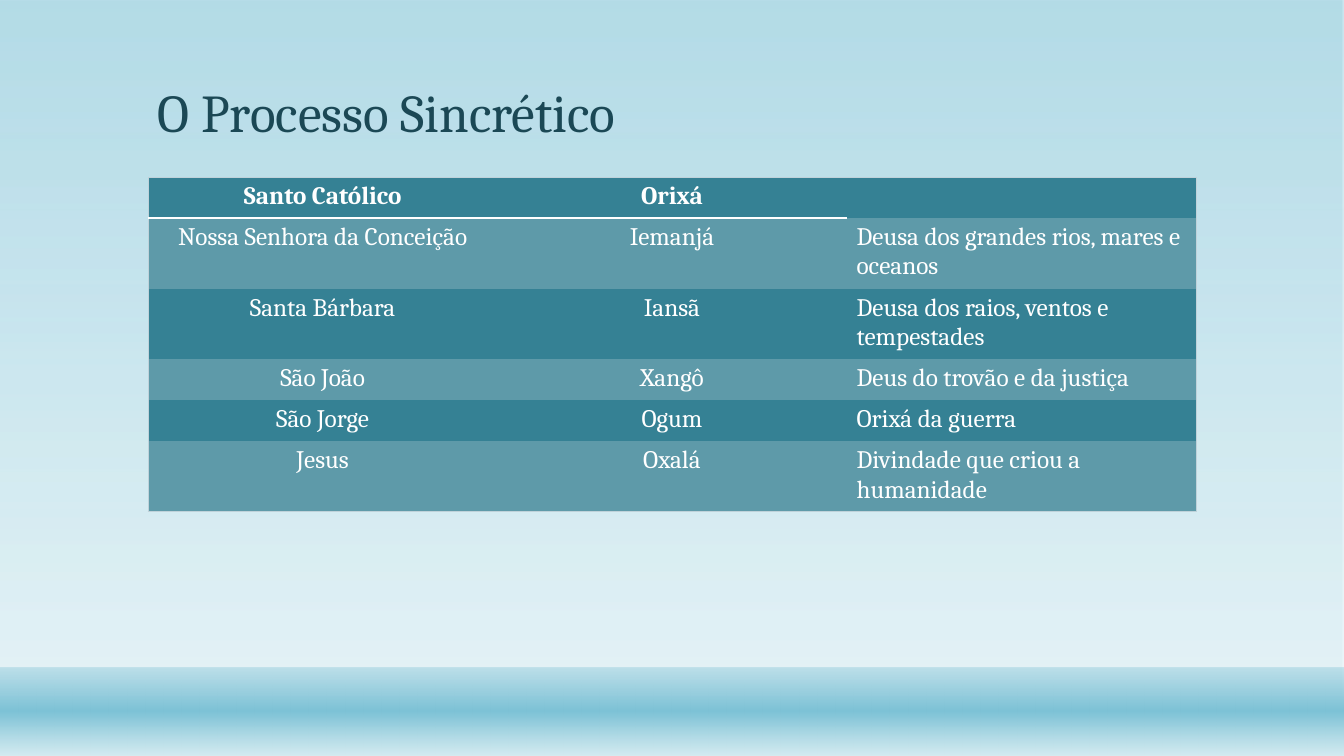
from typing import NamedTuple

from pptx import Presentation
from pptx.dml.color import RGBColor
from pptx.enum.shapes import MSO_SHAPE
from pptx.enum.text import MSO_ANCHOR, PP_ALIGN
from pptx.oxml import parse_xml
from pptx.oxml.ns import nsdecls
from pptx.util import Pt

RECT = MSO_SHAPE.RECTANGLE
BOTTOM = MSO_ANCHOR.BOTTOM
LEFT, CENTER = PP_ALIGN.LEFT, PP_ALIGN.CENTER

EMU_PER_PX = 914400 / 100.8
FONT = "Cambria"
COLORS = {
    "sky": "7DC2D6",
    "mist": "D4EBF1",
    "title": "1B4855",
    "dark_row": "358194",
    "light_row": "5E9AA9",
    "frame": "BFD2DA",
    "white": "FFFFFF",
}


class Stop(NamedTuple):
    pos: int
    color: str
    opacity: int


class Band(NamedTuple):
    top: int
    height: int
    stops: list[Stop]


class Edge(NamedTuple):
    color: str
    width: float


BANDS = [
    Band(0, 756, [Stop(0, "sky", 58), Stop(88, "mist", 65)]),
    Band(668, 88, [Stop(1, "sky", 38), Stop(49, "sky", 100), Stop(100, "mist", 89)]),
]
FRAME = Edge("frame", 0.5)
RULE = Edge("white", 1.5)
ROWS = [
    ("Santo Católico", "Orixá", ""),
    ("Nossa Senhora da Conceição", "Iemanjá", "Deusa dos grandes rios, mares e oceanos"),
    ("Santa Bárbara", "Iansã", "Deusa dos raios, ventos e tempestades"),
    ("São João", "Xangô", "Deus do trovão e da justiça"),
    ("São Jorge", "Ogum", "Orixá da guerra"),
    ("Jesus", "Oxalá", "Divindade que criou a humanidade"),
]
ROW_HEIGHTS = [41, 68, 68, 41, 41, 68]
LAST_ROW, LAST_COL = len(ROWS) - 1, len(ROWS[0]) - 1


def px(n: int) -> int:
    return round(n * EMU_PER_PX)


def rgb(name: str) -> RGBColor:
    return RGBColor.from_string(COLORS[name])


def style(p, size: int, color: str, bold: bool = False) -> None:
    p.font.name, p.font.size, p.font.bold = FONT, Pt(size), bold
    p.font.color.rgb = rgb(color)


def draw_band(shapes, band: Band) -> None:
    sp = shapes.add_shape(RECT, 0, px(band.top), px(1344), px(band.height))
    sp.shadow.inherit = False
    sp.line.fill.background()
    stops = "".join(
        f'<a:gs pos="{s.pos * 1000}"><a:srgbClr val="{COLORS[s.color]}">'
        f'<a:alpha val="{s.opacity * 1000}"/></a:srgbClr></a:gs>'
        for s in band.stops
    )
    sp._element.spPr.insert(2, parse_xml(
        f'<a:gradFill {nsdecls("a")} rotWithShape="1"><a:gsLst>{stops}</a:gsLst>'
        '<a:lin ang="5400000" scaled="0"/></a:gradFill>'
    ))


def set_edges(cell, edges: dict[str, Edge | None]) -> None:
    tc_pr = cell._tc.get_or_add_tcPr()
    for i, (side, edge) in enumerate(edges.items()):
        if edge:
            width = Pt(edge.width)
            fill = f'<a:solidFill><a:srgbClr val="{COLORS[edge.color]}"/></a:solidFill>'
        else:
            width, fill = 0, "<a:noFill/>"
        tc_pr.insert(i, parse_xml(f'<a:ln{side} {nsdecls("a")} w="{width}">{fill}</a:ln{side}>'))


def draw_cell(cell, row: int, col: int, text: str) -> None:
    cell.fill.solid()
    cell.fill.fore_color.rgb = rgb("light_row" if row % 2 else "dark_row")
    p = cell.text_frame.paragraphs[0]
    p.text = text
    p.alignment = LEFT if col == LAST_COL else CENTER
    style(p, 18, "white", bold=row == 0)
    rule = RULE if col < LAST_COL else None
    set_edges(cell, {
        "L": FRAME if col == 0 else None,
        "R": FRAME if col == LAST_COL else None,
        "T": {0: FRAME, 1: rule}.get(row),
        "B": {0: rule, LAST_ROW: FRAME}.get(row),
    })


prs = Presentation()
prs.slide_width, prs.slide_height = px(1344), px(756)
s = prs.slides.add_slide(prs.slide_layouts[6])

# Background and lower band
for band in BANDS:
    draw_band(s.shapes, band)

# Title
tf = s.shapes.add_textbox(px(148), px(29), px(1048), px(120)).text_frame
tf.word_wrap = True
tf.vertical_anchor = BOTTOM
p = tf.paragraphs[0]
p.text = "O Processo Sincrético"
p.line_spacing = 0.9
style(p, 38, "title")

# Table of saints and orixás
table = s.shapes.add_table(
    len(ROWS), len(ROWS[0]), px(148), px(177), px(1048), px(sum(ROW_HEIGHTS))
).table
table.first_row = table.horz_banding = False
for row, (texts, height) in enumerate(zip(ROWS, ROW_HEIGHTS)):
    table.rows[row].height = px(height)
    for col, text in enumerate(texts):
        draw_cell(table.cell(row, col), row, col, text)

prs.save("out.pptx")
